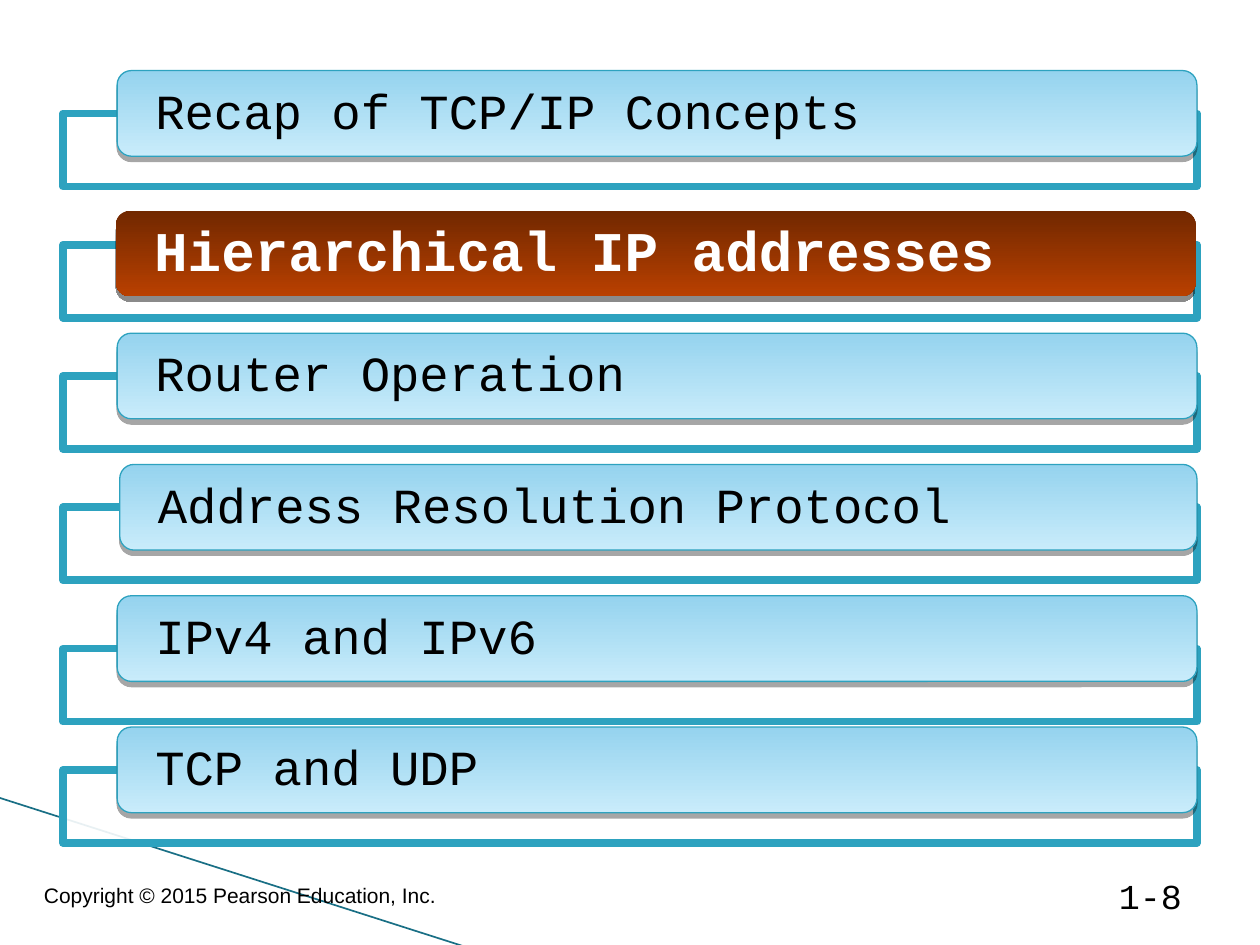
from dataclasses import dataclass

from lxml import etree
from pptx import Presentation
from pptx.dml import color
from pptx.enum import shapes, text
from pptx.oxml import ns
from pptx.util import Inches, Pt

COLORS = {
    "frame": "2DA2BF", "paper": "FFFFFF", "ink": "000000", "slope": "196F85",
    "card_top": "95D3EE", "card_end": "C9ECFB",
    "current_top": "712800", "current_end": "B94000",
}
FIRST_CARD, PITCH = 0.56, 1.042
FRAME_DROP = 0.34
RIGHT_EDGE = 9.5


@dataclass
class Topic:
    label: str
    left: float = 0.93
    width: float = RIGHT_EDGE - 0.93
    card_shift: float = 0
    frame_shift: float = 0
    current: bool = False


@dataclass
class Footer:
    label: str
    left: float
    top: float
    width: float
    height: float
    font: dict
    align: text.PP_ALIGN


TOPICS = [
    Topic("Recap of TCP/IP Concepts"),
    Topic("Hierarchical IP addresses", left=0.92, card_shift=0.07, current=True),
    Topic("Router Operation"),
    Topic("Address Resolution Protocol", left=0.95, width=RIGHT_EDGE - 0.95),
    Topic("IPv4 and IPv6", frame_shift=0.08),
    Topic("TCP and UDP"),
]
FOOTERS = [
    Footer("1-8", 8.58, 6.92, 0.9, 0.4,
           {"name": "Courier New", "size": Pt(20)}, text.PP_ALIGN.RIGHT),
    Footer("Copyright © 2015 Pearson Education, Inc.", 0.25, 6.93, 3.42, 0.32,
           {"name": "Arial", "size": Pt(12)}, text.PP_ALIGN.LEFT),
]


def rgb(name: str) -> color.RGBColor:
    return color.RGBColor.from_string(COLORS[name])


def apply(target, values: dict) -> None:
    for name, value in values.items():
        setattr(target, name, value)


def add_child(parent, tag: str, **attributes: str):
    return etree.SubElement(parent, ns.qn(tag), attributes)


def write(paragraph, label: str, font: dict, ink: str) -> None:
    span = paragraph.add_run()
    span.text = label
    apply(span.font, font)
    span.font.color.rgb = rgb(ink)


def add_frame(page, top: float) -> None:
    frame = page.shapes.add_shape(shapes.MSO_SHAPE.RECTANGLE, Inches(0.5),
                                  Inches(top), Inches(9), Inches(0.58))
    frame.shadow.inherit = False
    frame.fill.solid()
    frame.fill.fore_color.rgb = rgb("paper")
    tint = frame.fill._xPr.find(".//" + ns.qn("a:srgbClr"))
    add_child(tint, "a:alpha", val="90000")
    frame.line.color.rgb = rgb("frame")
    frame.line.width = Pt(4.34)


def add_shadow(shape, opacity: int) -> None:
    shape.shadow.inherit = False
    effects = shape._element.spPr.find(ns.qn("a:effectLst"))
    shadow = add_child(effects, "a:outerShdw", blurRad="0", dist=str(Pt(3)),
                       dir="5400000", rotWithShape="0")
    shade = add_child(shadow, "a:srgbClr", val=COLORS["ink"])
    add_child(shade, "a:alpha", val=str(opacity * 1000))


def add_card(page, topic: Topic, top: float) -> None:
    card = page.shapes.add_shape(
        shapes.MSO_SHAPE.ROUNDED_RECTANGLE, Inches(topic.left), Inches(top),
        Inches(topic.width), Inches(0.68))
    card.adjustments[0] = 0.167

    # Vertical gradient, outline and shadow
    tone = "current" if topic.current else "card"
    card.fill.gradient()
    card.fill.gradient_angle = 270
    for stop, end, position in zip(card.fill.gradient_stops, ("top", "end"), (0, 1)):
        stop.color.rgb = rgb(f"{tone}_{end}")
        stop.position = position
    if topic.current:
        card.line.fill.background()
    else:
        card.line.color.rgb = rgb("frame")
        card.line.width = Pt(0.75)
    add_shadow(card, 45 if topic.current else 35)

    # Label
    apply(card.text_frame, {
        "word_wrap": True, "vertical_anchor": text.MSO_ANCHOR.MIDDLE,
        "margin_left": Inches(0.27), "margin_right": Inches(0.24),
        "margin_top": Inches(0.03), "margin_bottom": Inches(0.03)})
    para = card.text_frame.paragraphs[0]
    size = 32 if topic.current else 28
    apply(para, {"alignment": text.PP_ALIGN.LEFT, "line_spacing": 0.9,
                 "space_after": Pt(size * 0.35)})
    write(para, topic.label,
          {"name": "Courier New", "size": Pt(size), "bold": topic.current},
          "paper" if topic.current else "ink")


def add_footer(page, footer: Footer) -> None:
    box = page.shapes.add_textbox(Inches(footer.left), Inches(footer.top),
                                  Inches(footer.width), Inches(footer.height))
    apply(box.text_frame, {"word_wrap": True,
                           "vertical_anchor": text.MSO_ANCHOR.BOTTOM})
    para = box.text_frame.paragraphs[0]
    para.alignment = footer.align
    write(para, footer.label, footer.font, "ink")


def add_slope(page) -> None:
    slope = page.shapes.add_connector(
        shapes.MSO_CONNECTOR.STRAIGHT, Inches(-0.01), Inches(6.33),
        Inches(3.71), Inches(7.52))
    slope.line.color.rgb = rgb("slope")
    slope.line.width = Pt(0.96)
    add_child(slope._element.spPr, "a:effectLst")


def main() -> None:
    deck = Presentation()
    deck.slide_width, deck.slide_height = Inches(10), Inches(7.5)
    page = deck.slides.add_slide(deck.slide_layouts[6])

    # Corner line behind the agenda
    add_slope(page)

    # Agenda: one frame and one card per topic
    for index, topic in enumerate(TOPICS):
        top = FIRST_CARD + index * PITCH
        add_frame(page, top + FRAME_DROP + topic.frame_shift)
        add_card(page, topic, top + topic.card_shift)

    # Page number and copyright
    for footer in FOOTERS:
        add_footer(page, footer)

    deck.save("out.pptx")


if __name__ == "__main__":
    main()
